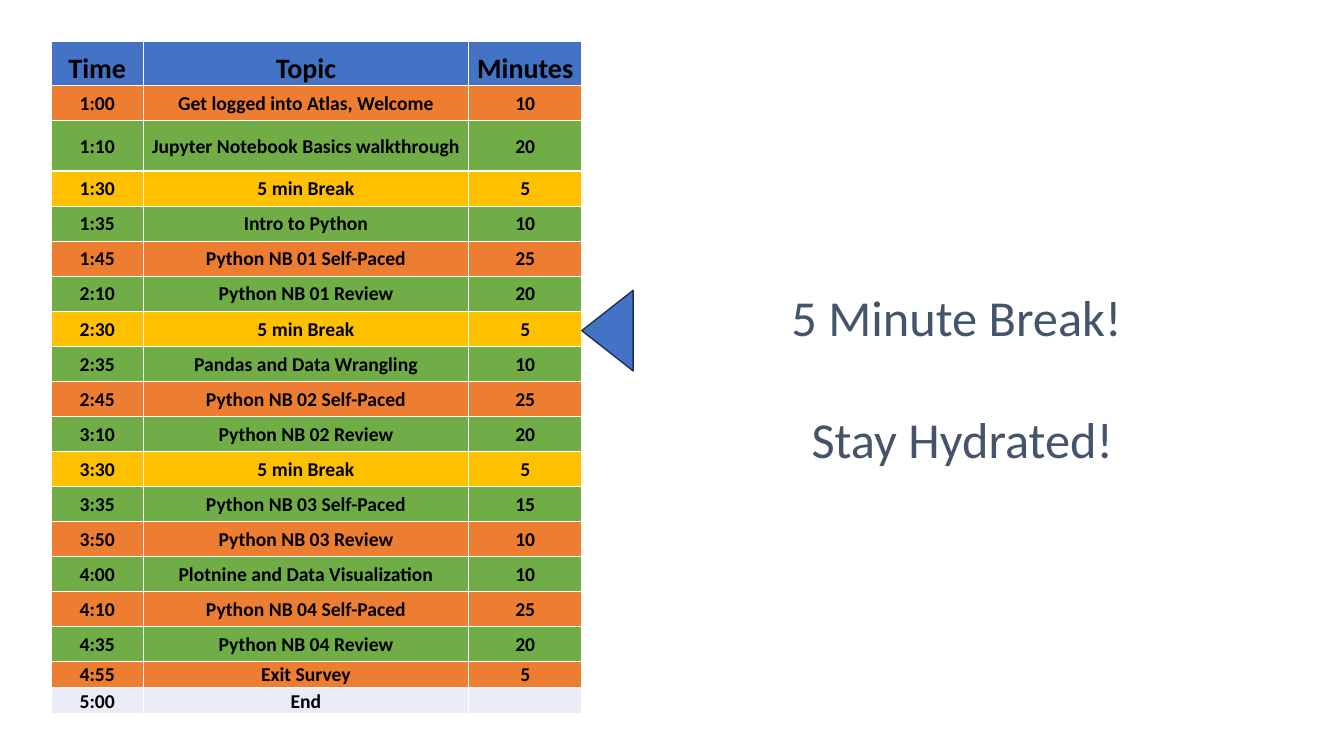
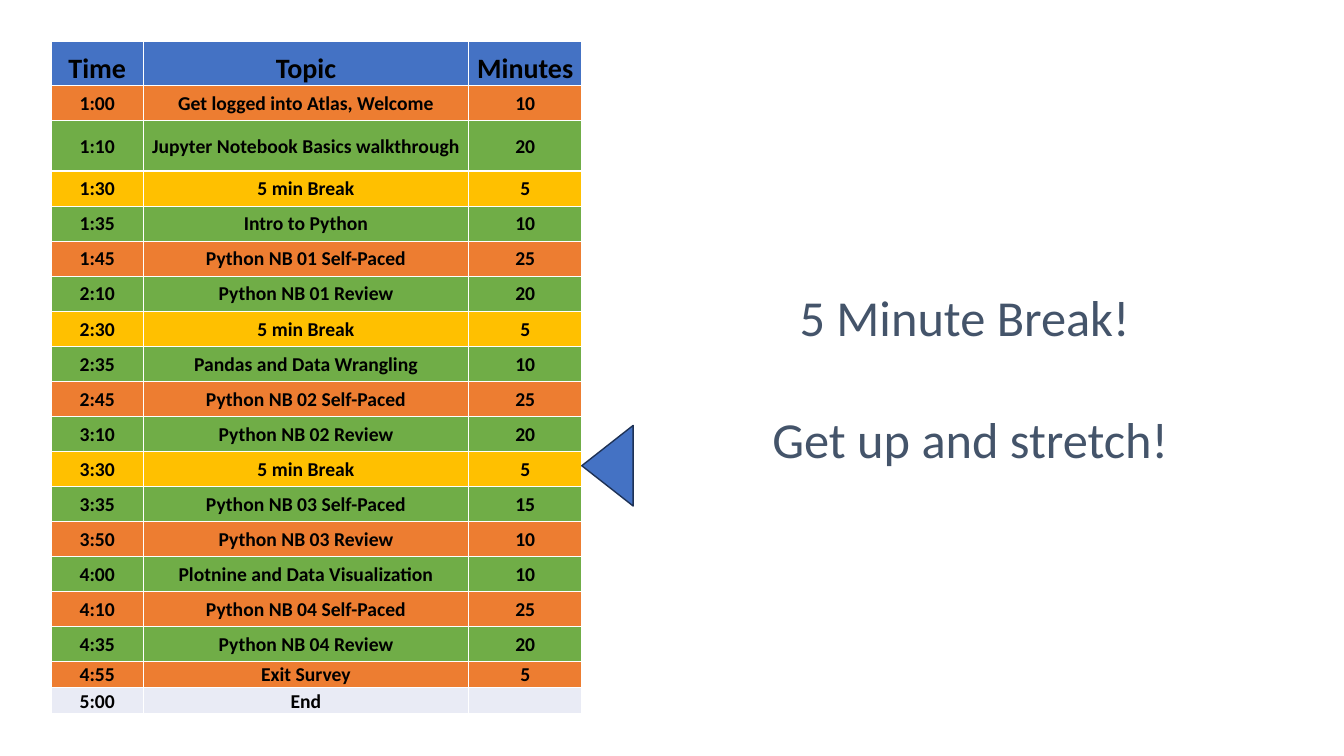
from lxml import etree
from pptx import Presentation
from pptx.dml.color import RGBColor
from pptx.enum.shapes import MSO_SHAPE
from pptx.enum.text import MSO_ANCHOR, PP_ALIGN
from pptx.oxml.ns import qn
from pptx.util import Inches, Pt

CENTER = PP_ALIGN.CENTER
MIDDLE, BOTTOM = MSO_ANCHOR.MIDDLE, MSO_ANCHOR.BOTTOM
TRIANGLE = MSO_SHAPE.ISOSCELES_TRIANGLE

FONT = "Calibri"
BLUE, NAVY, SLATE = "4472C4", "1E3256", "44546A"
BLACK, WHITE = "000000", "FFFFFF"
FILLS = {"header": BLUE, "hands-on": "ED7D31", "talk": "70AD47",
         "break": "FFC000", "end": "E9EBF5"}

AGENDA = [
    ("header", "Time", "Topic", "Minutes"),
    ("hands-on", "1:00", "Get logged into Atlas, Welcome", "10"),
    ("talk", "1:10", "Jupyter Notebook Basics walkthrough", "20"),
    ("break", "1:30", "5 min Break", "5"),
    ("talk", "1:35", "Intro to Python", "10"),
    ("hands-on", "1:45", "Python NB 01 Self-Paced", "25"),
    ("talk", "2:10", "Python NB 01 Review", "20"),
    ("break", "2:30", "5 min Break", "5"),
    ("talk", "2:35", "Pandas and Data Wrangling", "10"),
    ("hands-on", "2:45", "Python NB 02 Self-Paced", "25"),
    ("talk", "3:10", "Python NB 02 Review", "20"),
    ("break", "3:30", "5 min Break", "5"),
    ("talk", "3:35", "Python NB 03 Self-Paced", "15"),
    ("hands-on", "3:50", "Python NB 03 Review", "10"),
    ("talk", "4:00", "Plotnine and Data Visualization", "10"),
    ("hands-on", "4:10", "Python NB 04 Self-Paced", "25"),
    ("talk", "4:35", "Python NB 04 Review", "20"),
    ("hands-on", "4:55", "Exit Survey", "5"),
    ("end", "5:00", "End", ""),
]
BREAKS = [
    {"lines": ["5 Minute Break! ", "Stay Hydrated!"],
     "message_width": 3.97, "pointer_y": 3.28},
    {"lines": ["5 Minute Break! ", "Get up and stretch!"],
     "message_width": 4.13, "pointer_y": 4.62},
]

TABLE_LEFT, TABLE_TOP, TABLE_HEIGHT = 0.51, 0.41, 6.68
COLUMNS = [0.91, 3.23, 1.12]
TABLE_WIDTH = sum(COLUMNS)
SPECIAL_ROWS = {0: 0.44, 2: 0.5, 17: 0.26, 18: 0.26}
ROW_HEIGHT = ((TABLE_HEIGHT - sum(SPECIAL_ROWS.values()))
              / (len(AGENDA) - len(SPECIAL_ROWS)))
POINTER_BASE, POINTER_DEPTH = 0.8, 0.51


def rgb(color):
    return RGBColor.from_string(color)


def style(paragraph, size, color, bold=False):
    paragraph.alignment = CENTER
    font = paragraph.font
    font.name, font.size, font.bold = FONT, Pt(size), bold
    font.color.rgb = rgb(color)


def add_borders(cell):
    properties = cell._tc.get_or_add_tcPr()
    for side in ("a:lnL", "a:lnR", "a:lnT", "a:lnB"):
        line = etree.SubElement(properties, qn(side), w=str(Pt(1)))
        fill = etree.SubElement(line, qn("a:solidFill"))
        etree.SubElement(fill, qn("a:srgbClr"), val=WHITE)


def fill_cell(cell, text, kind):
    size = 20 if kind == "header" else 14
    add_borders(cell)
    cell.fill.solid()
    cell.fill.fore_color.rgb = rgb(FILLS[kind])
    cell.margin_left = cell.margin_right = cell.margin_top = Inches(0.01)
    cell.margin_bottom = 0
    cell.vertical_anchor = BOTTOM if kind == "header" else MIDDLE
    cell.text = text
    paragraph = cell.text_frame.paragraphs[0]
    style(paragraph, size, BLACK, bold=True)
    if not text:  # an empty cell takes its line height from the end mark
        etree.SubElement(paragraph._p, qn("a:endParaRPr"), sz=str(size * 100))


def add_agenda(slide):
    table = slide.shapes.add_table(
        len(AGENDA), len(COLUMNS), Inches(TABLE_LEFT), Inches(TABLE_TOP),
        Inches(TABLE_WIDTH), Inches(TABLE_HEIGHT)).table
    table.horz_banding = False
    for column, width in zip(table.columns, COLUMNS):
        column.width = Inches(width)
    for index, (kind, *texts) in enumerate(AGENDA):
        row = table.rows[index]
        row.height = Inches(SPECIAL_ROWS.get(index, ROW_HEIGHT))
        for cell, text in zip(row.cells, texts):
            fill_cell(cell, text, kind)


def add_pointer(slide, center_y):
    """Add a triangle whose tip touches the right edge of the agenda."""
    center_x = TABLE_LEFT + TABLE_WIDTH + POINTER_DEPTH / 2
    pointer = slide.shapes.add_shape(
        TRIANGLE, Inches(center_x - POINTER_BASE / 2),
        Inches(center_y - POINTER_DEPTH / 2),
        Inches(POINTER_BASE), Inches(POINTER_DEPTH))
    pointer.rotation = 270
    pointer.shadow.inherit = False
    pointer.fill.solid()
    pointer.fill.fore_color.rgb = rgb(BLUE)
    pointer.line.color.rgb = rgb(NAVY)
    pointer.line.width = Pt(1)


def add_message(slide, lines, width):
    frame = slide.shapes.add_textbox(
        Inches(7.56), Inches(2.79), Inches(width), Inches(1.92)).text_frame
    frame.word_wrap = True
    frame.text = "\n".join(lines)
    for index, paragraph in enumerate(frame.paragraphs):
        style(paragraph, 36, SLATE)
        if index:
            paragraph.space_before = Pt(44)


def main():
    deck = Presentation()
    deck.slide_width, deck.slide_height = Inches(13.33), Inches(7.5)
    for pause in BREAKS:
        slide = deck.slides.add_slide(deck.slide_layouts[6])
        add_agenda(slide)
        add_pointer(slide, pause["pointer_y"])
        add_message(slide, pause["lines"], pause["message_width"])
    deck.save("out.pptx")


if __name__ == "__main__":
    main()
